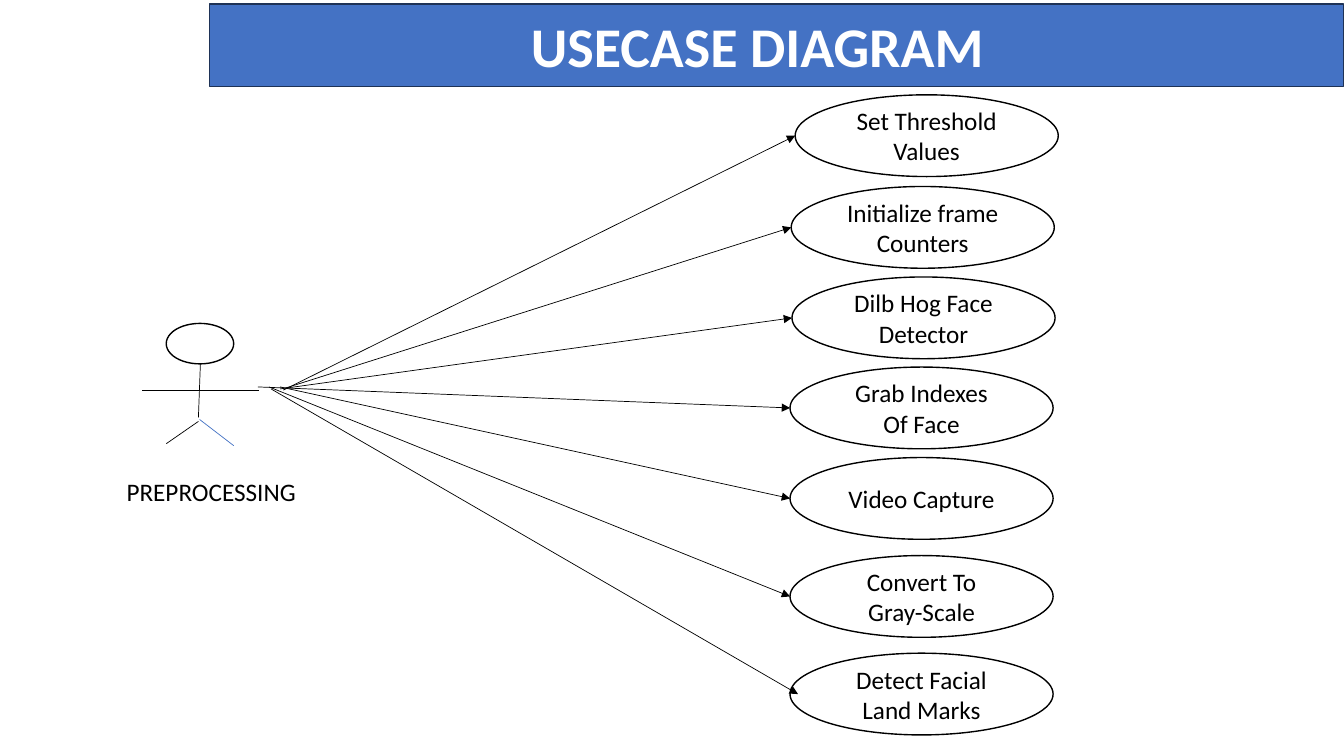
from pptx import Presentation
from pptx.dml.color import RGBColor as RGB
from pptx.enum.shapes import MSO_CONNECTOR as LINK, MSO_SHAPE as SHAPE
from pptx.enum.text import MSO_ANCHOR as ANCHOR, MSO_AUTO_SIZE as FIT, PP_ALIGN as ALIGN
from pptx.oxml.ns import qn
from pptx.util import Cm, Pt
from lxml.etree import SubElement

# Content (lengths in cm)
COLORS = {"blue": "4472C4", "navy": "1E3256", "black": "000000", "white": "FFFFFF"}
TITLE = "USECASE DIAGRAM"
ACTOR = "PREPROCESSING"

# Lines of text, left, top, arrow start, how far the arrow enters the oval
CASES = [
    (["Set Threshold", "Values"], 20.04, 2.39, (7.14, 9.83), 0),
    (["Initialize frame", "Counters"], 19.94, 4.7, (7.19, 9.78), 0),
    (["Dilb Hog Face", "Detector"], 19.96, 6.98, (7.06, 9.8), 0),
    (["Grab Indexes", "Of Face"], 19.91, 9.25, (6.5, 9.75), 0),
    (["Video Capture"], 19.91, 11.53, (7.06, 9.75), 0),
    (["Convert To", "Gray-Scale"], 19.91, 14, (6.78, 9.75), 0),
    (["Detect Facial", "Land Marks"], 19.91, 16.46, (6.83, 9.8), 0.2),
]
OVAL = (6.63, 2.06)
HEAD = (4.19, 8.15, 1.7, 1.02)
LIMBS = [
    ((5.05, 9.17), (5, 10.52), "black"),
    ((5, 10.62), (4.19, 11.18), "black"),
    ((5.03, 10.57), (5.89, 11.23), "blue"),
    ((3.58, 9.83), (6.53, 9.83), "black"),
]


def color(name):
    return RGB.from_string(COLORS[name])


def write(shape, lines, size=18, ink="black", bold=False, align=ALIGN.CENTER,
          anchor=ANCHOR.MIDDLE, inset=0.25):
    frame = shape.text_frame
    frame.word_wrap = True
    frame.auto_size = FIT.NONE
    frame.vertical_anchor = anchor
    frame.margin_left = Cm(inset)
    frame.text = "\n".join(lines)
    for para in frame.paragraphs:
        para.alignment = align
        para.line_spacing = 1.0
        font = para.runs[0].font
        font.name, font.size, font.bold = "Calibri", Pt(size), bold
        font.color.rgb = color(ink)


def paint(shape, fill, edge):
    shape.fill.solid()
    shape.fill.fore_color.rgb = color(fill)
    shape.line.color.rgb = color(edge)
    shape.line.width = Pt(1)
    shape.shadow.inherit = False


def oval(slide, *box):
    shape = slide.shapes.add_shape(SHAPE.OVAL, *map(Cm, box))
    paint(shape, "white", "black")
    return shape


def link(slide, start, end, ink="black", arrow=False):
    line = slide.shapes.add_connector(LINK.STRAIGHT, *map(Cm, start + end))
    line.line.color.rgb = color(ink)
    line.line.width = Pt(0.5)
    if arrow:
        SubElement(line.line._get_or_add_ln(), qn("a:tailEnd"), type="triangle")
    SubElement(line._element.spPr, qn("a:effectLst"))


def main():
    deck = Presentation()
    deck.slide_width, deck.slide_height = Cm(33.87), Cm(19.05)
    slide = deck.slides.add_slide(deck.slide_layouts[5])

    # Title bar
    title = slide.shapes.title
    title.left, title.top, title.width, title.height = map(Cm, (5.28, 0.1, 28.58, 2.08))
    paint(title, "blue", "navy")
    write(title, [TITLE], size=40, ink="white", bold=True, align=ALIGN.LEFT, inset=8.1)

    # Actor
    oval(slide, *HEAD)
    for start, end, ink in LIMBS:
        link(slide, start, end, ink)
    label = slide.shapes.add_textbox(*map(Cm, (2.13, 11.89, 6.63, 1.02)))
    write(label, [ACTOR], align=ALIGN.LEFT, anchor=ANCHOR.TOP, inset=1.06)

    # Use cases, then the arrows on top
    for lines, left, top, _, _ in CASES:
        write(oval(slide, left, top, *OVAL), lines)
    for _, left, top, start, depth in CASES:
        link(slide, start, (left + depth, top + OVAL[1] / 2), arrow=True)

    deck.save("out.pptx")


if __name__ == "__main__":
    main()
